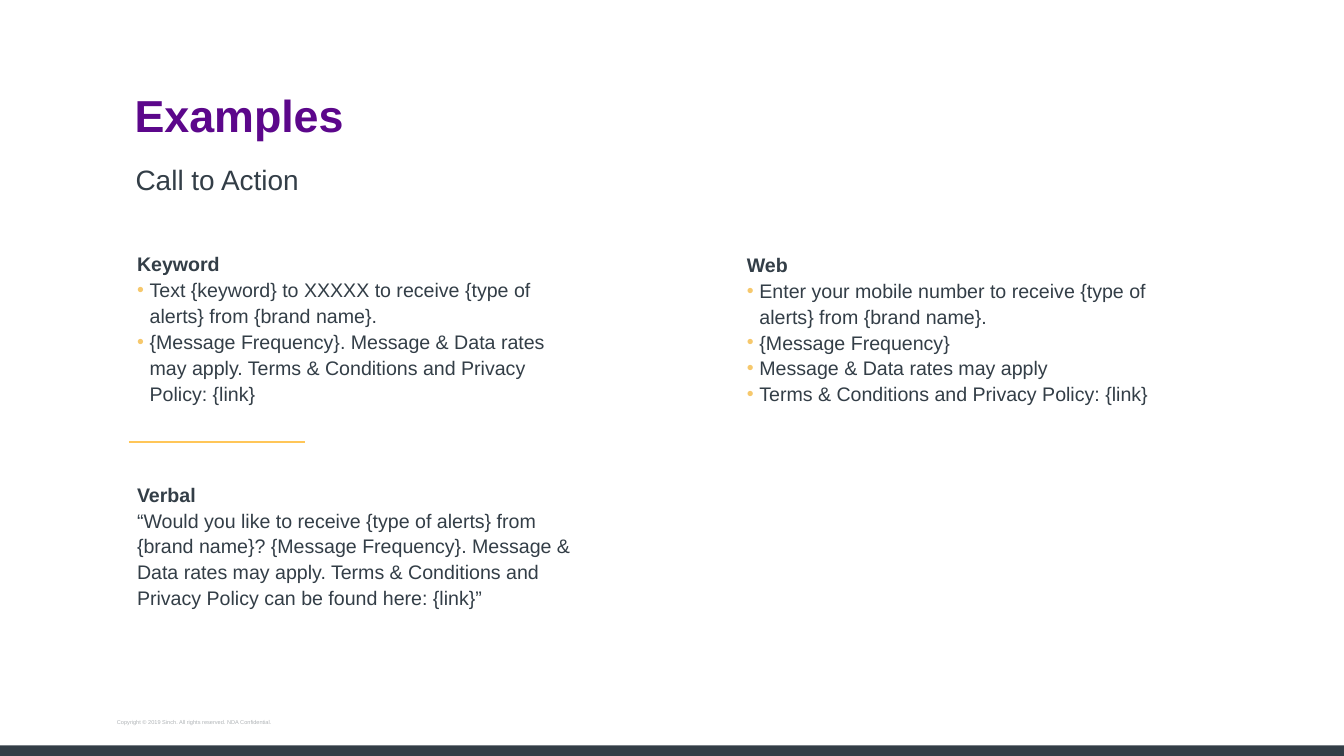
import dataclasses

import lxml.etree
import pptx
import pptx.dml.color
import pptx.enum.shapes
import pptx.enum.text
import pptx.oxml.ns
import pptx.util

PX = 9144
SLIDE_W, SLIDE_H = 2667, 1500


@dataclasses.dataclass(frozen=True)
class Theme:
    """Colours as RRGGBB, type sizes and line spacings in points."""
    font: str = "Arial"
    ink: str = "333E47"
    title: str = "5C078B"
    muted: str = "B0B4B7"
    bullet: str = "F6C86C"
    rule: str = "FFC658"
    title_size: int = 64
    subtitle_size: int = 40
    body_size: int = 28
    footer_size: int = 8
    title_leading: int = 85
    subtitle_leading: int = 57
    footer_leading: int = 18
    body_leading: float = 1.1
    rule_width: int = 2


THEME = Theme()


def px(n):
    """Turn px into EMU."""
    return pptx.util.Emu(n * PX)


def rgb(value):
    """Turn RRGGBB into a colour."""
    return pptx.dml.color.RGBColor.from_string(value)


def add_text_frame(slide, box, anchor=pptx.enum.text.MSO_ANCHOR.TOP):
    """Add a wrapping text box and return its text frame."""
    tf = slide.shapes.add_textbox(*map(px, box)).text_frame
    tf.word_wrap = True
    tf.vertical_anchor = anchor
    tf.margin_left = tf.margin_right = tf.margin_top = tf.margin_bottom = px(6)
    return tf


def add_run(p, text, size, color, bold=False):
    """Add one formatted run to a paragraph."""
    r = p.add_run()
    r.text = text
    r.font.name = THEME.font
    r.font.size = pptx.util.Pt(size)
    r.font.bold = bold
    r.font.color.rgb = rgb(color)


def add_bullet(p):
    """Give a paragraph a coloured bullet and a hanging indent."""
    ppr = p._p.get_or_add_pPr()
    ppr.set("marL", str(px(25)))
    ppr.set("indent", str(px(-25)))
    qn = pptx.oxml.ns.qn
    color = lxml.etree.SubElement(ppr, qn("a:buClr"))
    lxml.etree.SubElement(color, qn("a:srgbClr"), val=THEME.bullet)
    lxml.etree.SubElement(ppr, qn("a:buFont"), typeface=THEME.font)
    lxml.etree.SubElement(ppr, qn("a:buChar"), char="•")


def add_line(slide, box, text, size, leading, color, bold=False,
             anchor=pptx.enum.text.MSO_ANCHOR.TOP):
    """Add a text box holding one line with fixed leading."""
    p = add_text_frame(slide, box, anchor).paragraphs[0]
    p.line_spacing = pptx.util.Pt(leading)
    add_run(p, text, size, color, bold)


def add_header(slide, box, title, subtitle):
    """Place the title with the subtitle below it."""
    x, y, w, h = box
    add_line(slide, (x, y, w, 132), title, THEME.title_size,
             THEME.title_leading, THEME.title, bold=True)
    add_line(slide, (x + 2, y + 147, w - 207, h - 147), subtitle,
             THEME.subtitle_size, THEME.subtitle_leading, THEME.ink)


def add_example(slide, box, heading, items, bulleted=True):
    """Place a bold heading followed by its paragraphs."""
    tf = add_text_frame(slide, box)
    p = tf.paragraphs[0]
    p.line_spacing = THEME.body_leading
    add_run(p, heading, THEME.body_size, THEME.ink, bold=True)
    for item in items:
        p = tf.add_paragraph()
        p.line_spacing = THEME.body_leading
        if bulleted:
            add_bullet(p)
        add_run(p, item, THEME.body_size, THEME.ink)


def add_divider(slide, x, y, w):
    """Draw a horizontal rule."""
    line = slide.shapes.add_connector(
        pptx.enum.shapes.MSO_CONNECTOR.STRAIGHT, px(x), px(y), px(x + w), px(y))
    line.line.color.rgb = rgb(THEME.rule)
    line.line.width = pptx.util.Pt(THEME.rule_width)
    lxml.etree.SubElement(line._element.spPr, pptx.oxml.ns.qn("a:effectLst"))


def add_footer(slide, box, text):
    """Place the copyright line above the bottom bar."""
    x, y, w, h = box
    sp = slide.shapes.add_shape(
        pptx.enum.shapes.MSO_SHAPE.RECTANGLE, px(x), px(y + h - 21), px(w), px(21))
    sp.shadow.inherit = False
    sp.fill.solid()
    sp.fill.fore_color.rgb = rgb(THEME.ink)
    sp.line.fill.background()
    add_line(slide, (x + 226, y, 868, 25), text, THEME.footer_size,
             THEME.footer_leading, THEME.muted,
             anchor=pptx.enum.text.MSO_ANCHOR.MIDDLE)


def main():
    """Build and save the slide."""
    prs = pptx.Presentation()
    prs.slide_width, prs.slide_height = px(SLIDE_W), px(SLIDE_H)
    slide = prs.slides.add_slide(prs.slide_layouts[6])
    add_footer(slide, (0, 1415, SLIDE_W, 85),
               "Copyright © 2019 Sinch. All rights reserved. NDA Confidential.")
    add_header(slide, (261, 157, 1232, 225), "Examples", "Call to Action")
    add_example(slide, (266, 490, 883, 318), "Keyword", [
        "Text {keyword} to XXXXX to receive {type of alerts} from {brand name}.",
        "{Message Frequency}. Message & Data rates may apply. "
        "Terms & Conditions and Privacy Policy: {link}",
    ])
    add_divider(slide, 256, 877, 349)
    add_example(slide, (1476, 491, 879, 318), "Web", [
        "Enter your mobile number to receive {type of alerts} from {brand name}.",
        "{Message Frequency}",
        "Message & Data rates may apply",
        "Terms & Conditions and Privacy Policy: {link}",
    ])
    add_example(slide, (266, 947, 883, 266), "Verbal", [
        "“Would you like to receive {type of alerts} from {brand name}? "
        "{Message Frequency}. Message & Data rates may apply. "
        "Terms & Conditions and Privacy Policy can be found here: {link}”",
    ], bulleted=False)
    prs.save("out.pptx")


if __name__ == "__main__":
    main()
